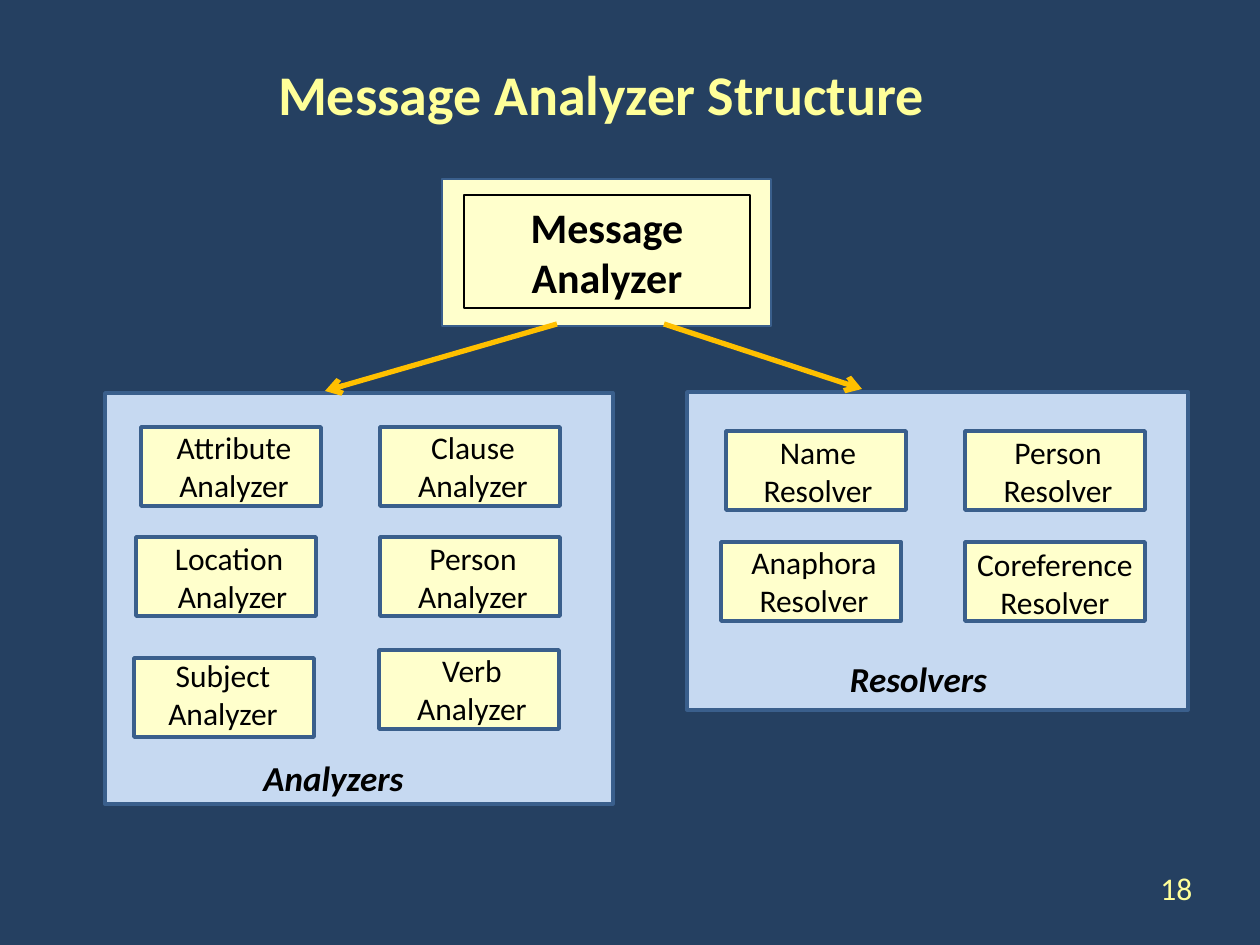
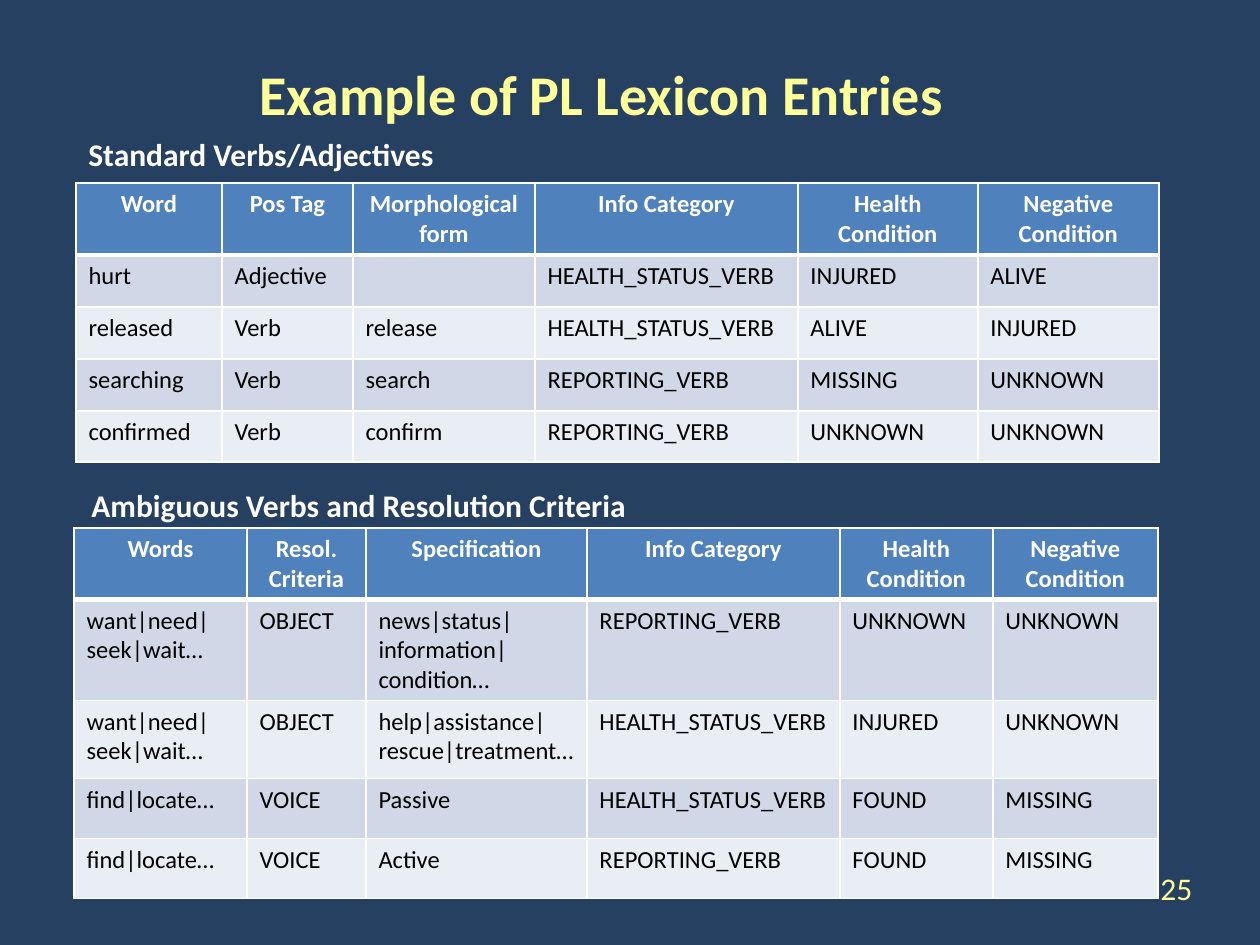
"""Build two slides: the message analyzer structure and the lexicon entries."""
import pptx
import pptx.util
import pptx.dml.color
import pptx.enum.shapes
import pptx.enum.text
import lxml.etree
from dataclasses import dataclass

PX = 914400 // 126
NS = "http://schemas.openxmlformats.org/drawingml/2006/main"
RGB = pptx.dml.color.RGBColor.from_string
RECT = pptx.enum.shapes.MSO_SHAPE.RECTANGLE
LEFT = pptx.enum.text.PP_ALIGN.LEFT
CENTER = pptx.enum.text.PP_ALIGN.CENTER


@dataclass(frozen=True)
class Theme:
    font: str = "Calibri"
    back: str = "254061"
    title: str = "FFFF99"
    panel: str = "C6D9F1"
    box: str = "FFFFCC"
    edge: str = "3A5F8C"
    arrow: str = "FFC000"
    head: str = "4F81BD"
    bands: tuple = ("D0D8E8", "E9EDF4")
    dark: str = "000000"
    light: str = "FFFFFF"
    title_size: int = 32
    root_size: int = 24
    caption_size: int = 20
    text_size: int = 18
    table_size: int = 14


T = Theme()


def write(tf, text, size, color, bold=False, italic=False, align=LEFT):
    tf.word_wrap = True
    tf.text = text
    for p in tf.paragraphs:
        p.alignment = align
        p.font.name = T.font
        p.font.size = pptx.util.Pt(size)
        p.font.bold = bold
        p.font.italic = italic
        p.font.color.rgb = RGB(color)


def rect(s, x, y, w, h, fill, line, width):
    sp = s.shapes.add_shape(RECT, x * PX, y * PX, w * PX, h * PX)
    sp.shadow.inherit = False
    if fill:
        sp.fill.solid()
        sp.fill.fore_color.rgb = RGB(fill)
    else:
        sp.fill.background()
    sp.line.color.rgb = RGB(line)
    sp.line.width = pptx.util.Pt(width)
    return sp


prs = pptx.Presentation()
prs.slide_width = 1260 * PX
prs.slide_height = 945 * PX

slides = []
for title, number in (("Message Analyzer Structure", "18"), ("Example of PL Lexicon Entries", "25")):
    s = prs.slides.add_slide(prs.slide_layouts[6])
    s.background.fill.solid()
    s.background.fill.fore_color.rgb = RGB(T.back)
    tf = s.shapes.add_textbox(108 * PX, 49 * PX, 987 * PX, 78 * PX).text_frame
    write(tf, title, T.title_size, T.title, bold=True, align=CENTER)
    tf.vertical_anchor = pptx.enum.text.MSO_ANCHOR.BOTTOM
    tf.margin_bottom = 0
    tf = s.shapes.add_textbox(1148 * PX, 863 * PX, 72 * PX, 53 * PX).text_frame
    write(tf, number, T.text_size, T.title)
    slides.append(s)

structure, lexicon = slides

s = structure
rect(s, 442, 179, 329, 147, T.box, T.edge, 0.75)
sp = rect(s, 464, 195, 286, 113, None, T.dark, 0.75)
write(sp.text_frame, "Message Analyzer", T.root_size, T.dark, bold=True, align=CENTER)

panels = [
    ((105, 393, 508, 411), "Analyzers", (229, 750)),
    ((687, 392, 501, 318), "Resolvers", (814, 651)),
]
for frame, caption, (x, y) in panels:
    rect(s, *frame, T.panel, T.edge, 2)
    tf = s.shapes.add_textbox(x * PX, y * PX, 209 * PX, 55 * PX).text_frame
    write(tf, caption, T.caption_size, T.dark, bold=True, italic=True, align=CENTER)

components = [
    (141, 427, "Attribute\nAnalyzer", 14, -5, 158),
    (380, 427, "Clause Analyzer", 14, -5, 158),
    (136, 537, "Location\n Analyzer", 14, -4, 158),
    (380, 537, "Person Analyzer", 14, -4, 158),
    (134, 658, "Subject Analyzer", 10, -8, 158),
    (379, 650, "Verb Analyzer", 14, -5, 158),
    (726, 431, "Name Resolver", 13, -4, 158),
    (965, 431, "Person Resolver", 14, -4, 158),
    (721, 542, "Anaphora Resolver", 14, -5, 158),
    (965, 542, "Coreference Resolver", -5, -3, 190),
]
for x, y, name, dx, dy, w in components:
    rect(s, x, y, 180, 79, T.box, T.edge, 2)
    tf = s.shapes.add_textbox((x + dx) * PX, (y + dy) * PX, w * PX, 89 * PX).text_frame
    write(tf, name, T.text_size, T.dark, align=CENTER)

for x1, y1, x2, y2 in ((557, 324, 325, 391), (664, 324, 862, 389)):
    c = s.shapes.add_connector(
        pptx.enum.shapes.MSO_CONNECTOR.STRAIGHT, x1 * PX, y1 * PX, x2 * PX, y2 * PX
    )
    c.line.color.rgb = RGB(T.arrow)
    c.line.width = pptx.util.Pt(3)
    lxml.etree.SubElement(c.line._get_or_add_ln(), f"{{{NS}}}tailEnd", type="arrow")
    lxml.etree.SubElement(c._element.spPr, f"{{{NS}}}effectLst")

s = lexicon
tables = [
    (
        "Standard Verbs/Adjectives", (76, 129, 427),
        (76, 183), (146, 131, 182, 263, 180, 181), (72, 52, 52, 52, 51),
        [
            ("Word", "Pos Tag", "Morphological form", "Info Category", "Health Condition", "Negative Condition"),
            ("hurt", "Adjective", "", "HEALTH_STATUS_VERB", "INJURED", "ALIVE"),
            ("released", "Verb", "release", "HEALTH_STATUS_VERB", "ALIVE", "INJURED"),
            ("searching", "Verb", "search", "REPORTING_VERB", "MISSING", "UNKNOWN"),
            ("confirmed", "Verb", "confirm", "REPORTING_VERB", "UNKNOWN", "UNKNOWN"),
        ],
    ),
    (
        "Ambiguous Verbs and Resolution Criteria", (79, 480, 599),
        (74, 528), (173, 119, 221, 253, 153, 165), (71, 101, 78, 60, 60),
        [
            ("Words", "Resol. Criteria", "Specification", "Info Category", "Health Condition", "Negative Condition"),
            ("want|need|seek|wait…", "OBJECT", "news|status|information|condition…", "REPORTING_VERB", "UNKNOWN", "UNKNOWN"),
            ("want|need|seek|wait…", "OBJECT", "help|assistance|rescue|treatment…", "HEALTH_STATUS_VERB", "INJURED", "UNKNOWN"),
            ("find|locate…", "VOICE", "Passive", "HEALTH_STATUS_VERB", "FOUND", "MISSING"),
            ("find|locate…", "VOICE", "Active", "REPORTING_VERB", "FOUND", "MISSING"),
        ],
    ),
]
for caption, (cx, cy, cw), (x, y), widths, heights, rows in tables:
    tf = s.shapes.add_textbox(cx * PX, cy * PX, cw * PX, 50 * PX).text_frame
    write(tf, caption, T.text_size, T.light, bold=True)
    table = s.shapes.add_table(
        len(rows), len(widths), x * PX, y * PX, sum(widths) * PX, sum(heights) * PX
    ).table
    for column, w in zip(table.columns, widths):
        column.width = w * PX
    for i, (h, values) in enumerate(zip(heights, rows)):
        table.rows[i].height = h * PX
        header = i == 0
        for j, value in enumerate(values):
            cell = table.cell(i, j)
            write(
                cell.text_frame, value, T.table_size, T.light if header else T.dark,
                bold=header, align=CENTER if header else LEFT,
            )
            tcPr = cell._tc.get_or_add_tcPr()
            for side in "LRTB":
                thick = (side == "B" and header) or (side == "T" and i == 1)
                ln = lxml.etree.SubElement(
                    tcPr, f"{{{NS}}}ln{side}", w=str(pptx.util.Pt(3 if thick else 1))
                )
                fill = lxml.etree.SubElement(ln, f"{{{NS}}}solidFill")
                lxml.etree.SubElement(fill, f"{{{NS}}}srgbClr", val=T.light)
            cell.fill.solid()
            cell.fill.fore_color.rgb = RGB(T.head if header else T.bands[(i - 1) % 2])

prs.save("out.pptx")
